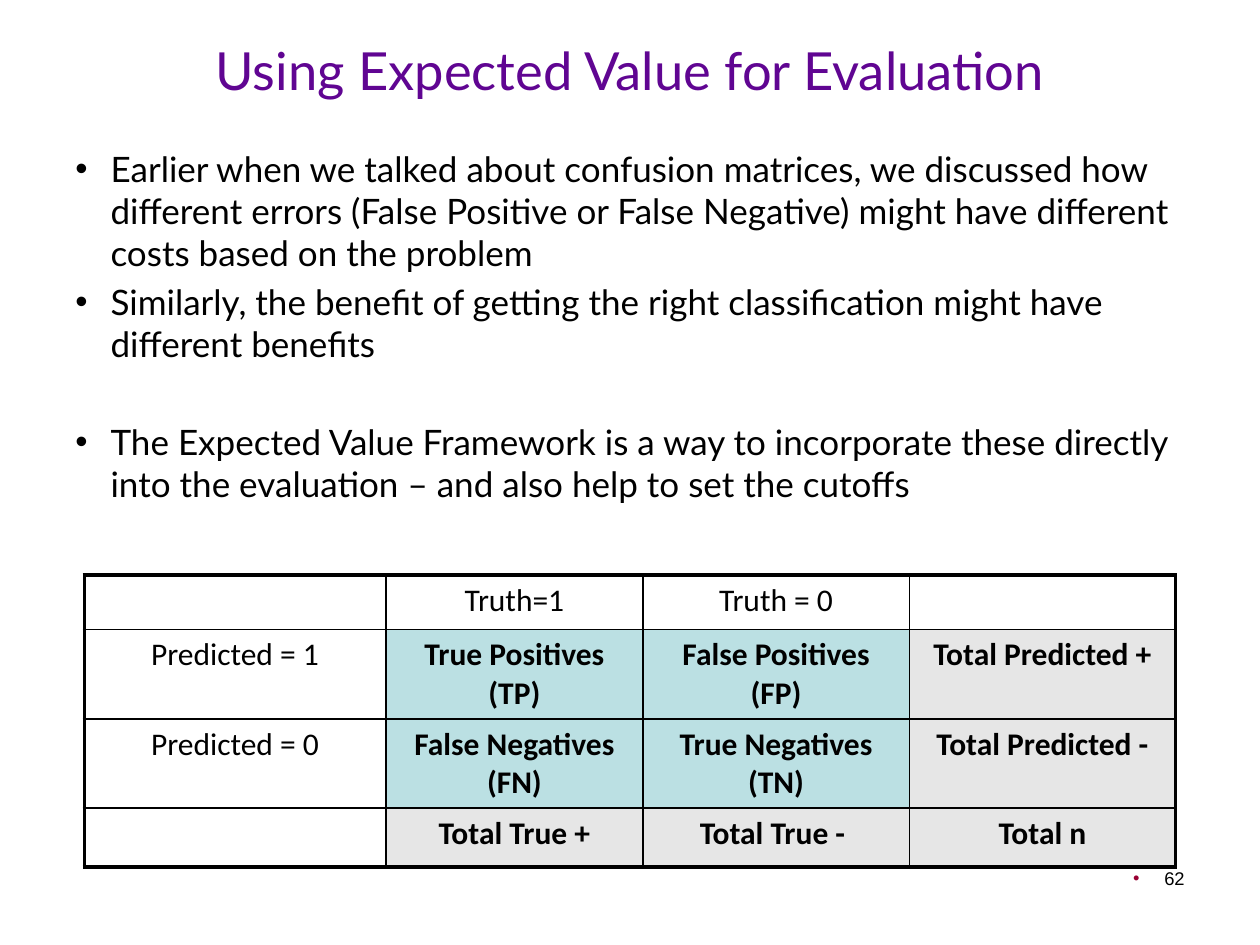
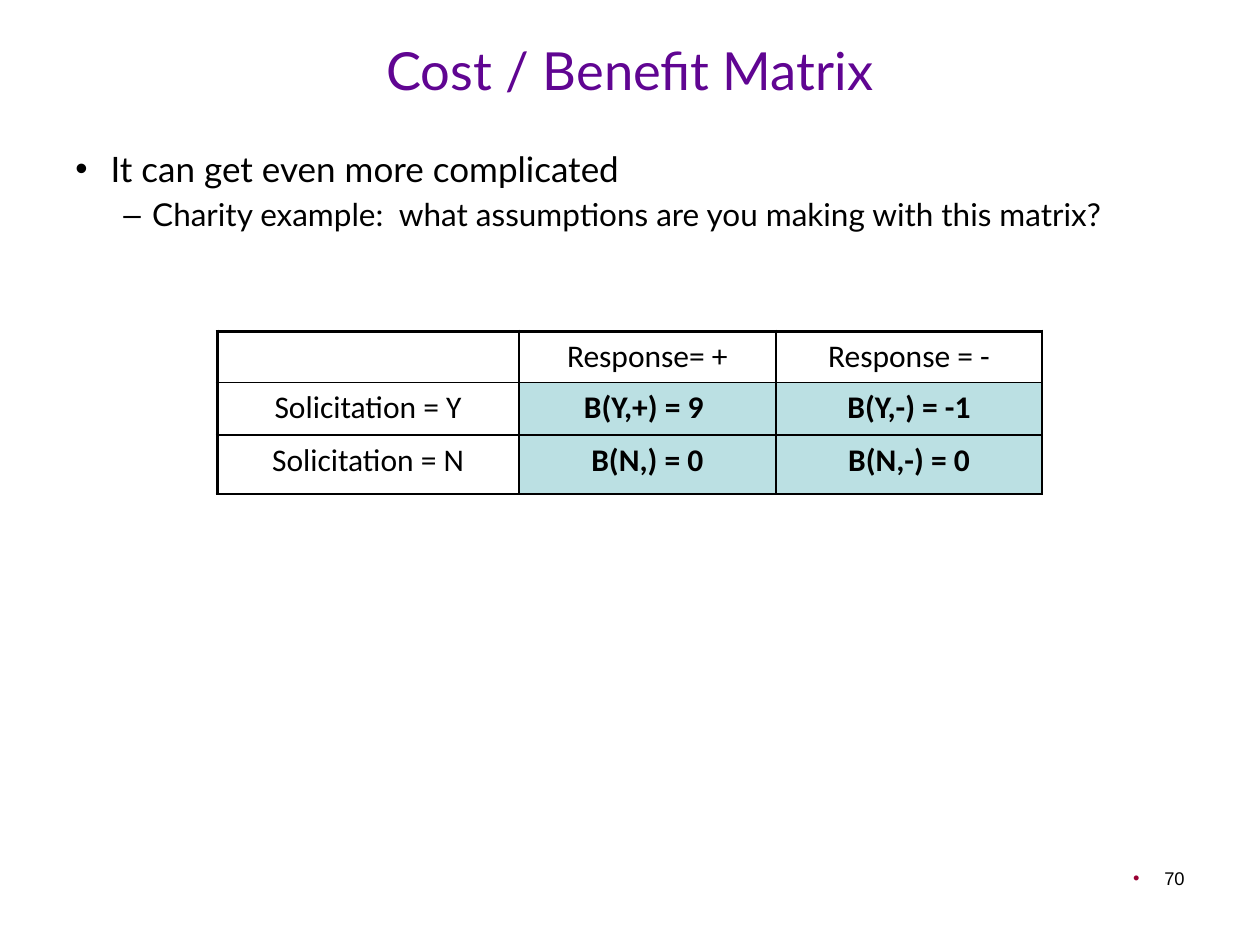
from collections import namedtuple
from dataclasses import dataclass

from lxml import etree
from pptx import Presentation
from pptx.dml.color import RGBColor
from pptx.enum.text import MSO_ANCHOR, PP_ALIGN
from pptx.oxml.ns import qn
from pptx.util import Cm, Pt

CENTER, RIGHT = PP_ALIGN.CENTER, PP_ALIGN.RIGHT
MIDDLE = MSO_ANCHOR.MIDDLE

Box = namedtuple("Box", "left top width height")
Bullet = namedtuple("Bullet", "text level before", defaults=(0, 4))
Level = namedtuple("Level", "mark size margin hang")


@dataclass(frozen=True)
class Theme:
    purple: str = "600592"
    black: str = "000000"
    dot_red: str = "990033"
    teal: str = "BBE0E3"
    grey: str = "E6E6E6"
    text_font: str = "Lato"
    table_font: str = "Calibri"
    number_font: str = "Arial"
    title_size: float = 30
    table_size: float = 18
    number_size: float = 10.5
    thin: float = 1
    thick: float = 2.25


THEME = Theme()
LEVELS = (Level("•", 20, 0.71, 0.71), Level("–", 18, 1.55, 0.58))

TITLE_BOX = Box(1.27, 0.38, 22.86, 2.03)
BODY_BOX = Box(1.27, 2.84, 22.86, 13.36)
NUMBER_BOX = Box(18.21, 17.35, 5.92, 1.32)
LABEL_WIDTH, FIRST_WIDTH, OTHER_WIDTH = 6.08, 5.18, 5.37


def set_font(para, name, size, color, bold=False):
    font = para.font
    font.name, font.size, font.bold = name, Pt(size), bold
    font.color.rgb = RGBColor.from_string(color)


def set_bullet(para, mark, margin, hang, color=None):
    properties = para._p.get_or_add_pPr()
    properties.set("marL", str(Cm(margin)))
    properties.set("indent", str(-Cm(hang)))
    if color:
        holder = etree.SubElement(properties, qn("a:buClr"))
        etree.SubElement(holder, qn("a:srgbClr"), val=color)
    etree.SubElement(properties, qn("a:buFont"), typeface="Arial")
    etree.SubElement(properties, qn("a:buChar"), char=mark)


def add_frame(page, box):
    frame = page.shapes.add_textbox(*map(Cm, box)).text_frame
    frame.word_wrap = True
    return frame


def add_title(page, box, text):
    frame = add_frame(page, box)
    frame.vertical_anchor = MIDDLE
    para = frame.paragraphs[0]
    para.text, para.alignment = text, CENTER
    set_font(para, THEME.text_font, THEME.title_size, THEME.purple)


def add_bullets(page, box, bullets):
    frame = add_frame(page, box)
    for index, bullet in enumerate(bullets):
        para = frame.add_paragraph() if index else frame.paragraphs[0]
        level = LEVELS[bullet.level]
        para.text, para.level = bullet.text, bullet.level
        if index:
            para.space_before = Pt(bullet.before)
        set_bullet(para, level.mark, level.margin, level.hang)
        set_font(para, THEME.text_font, level.size, THEME.black)


def add_page_number(page, box, number):
    para = add_frame(page, box).paragraphs[0]
    para.text, para.alignment = str(number), RIGHT
    set_bullet(para, "•", 0.63, 0.63, THEME.dot_red)
    set_font(para, THEME.number_font, THEME.number_size, THEME.black)


def set_borders(cell, widths):
    """Draw the left, right, top and bottom edges, in that order."""
    properties = cell._tc.get_or_add_tcPr()
    for side, width in zip("LRTB", widths):
        line = etree.SubElement(properties, qn(f"a:ln{side}"), w=str(Pt(width)))
        fill = etree.SubElement(line, qn("a:solidFill"))
        etree.SubElement(fill, qn("a:srgbClr"), val=THEME.black)


def add_matrix(page, left, top, heights, rows, thick_sides):
    """Matrix with plain headings, teal outcomes and grey totals (index 3)."""
    row_count, column_count = len(rows), len(rows[0])
    widths = [LABEL_WIDTH, FIRST_WIDTH] + [OTHER_WIDTH] * (column_count - 2)
    box = Box(left, top, sum(widths), sum(heights))
    table = page.shapes.add_table(row_count, column_count, *map(Cm, box)).table
    table.first_row = table.horz_banding = False
    for column, width in zip(table.columns, widths):
        column.width = Cm(width)
    for row, height in zip(table.rows, heights):
        row.height = Cm(height)

    for r, texts in enumerate(rows):
        for c, text in enumerate(texts):
            cell = table.cell(r, c)
            # Outer edges are thick where the matrix asks for it
            outer = {"L": c == 0, "R": c == column_count - 1,
                     "T": r == 0, "B": r == row_count - 1}
            set_borders(cell, [THEME.thick if at_edge and side in thick_sides
                               else THEME.thin for side, at_edge in outer.items()])
            heading = r == 0 or c == 0
            if heading:
                cell.fill.background()
            else:
                color = THEME.grey if 3 in (r, c) else THEME.teal
                cell.fill.solid()
                cell.fill.fore_color.rgb = RGBColor.from_string(color)
            para = cell.text_frame.paragraphs[0]
            para.text, para.alignment = text, CENTER
            set_font(para, THEME.table_font, THEME.table_size, THEME.black,
                     bold=not heading)


def add_page(deck, title, bullets, number):
    page = deck.slides.add_slide(deck.slide_layouts[6])
    add_title(page, TITLE_BOX, title)
    add_bullets(page, BODY_BOX, bullets)
    add_page_number(page, NUMBER_BOX, number)
    return page


def build_expected_value(deck):
    bullets = [
        Bullet("Earlier when we talked about confusion matrices, we discussed "
               "how different errors (False Positive or False Negative) might "
               "have different costs based on the problem"),
        Bullet("Similarly, the benefit of getting the right classification "
               "might have different benefits"),
        Bullet("The Expected Value Framework is a way to incorporate these "
               "directly into the evaluation – and also help to set the "
               "cutoffs", before=32),
    ]
    page = add_page(deck, "Using Expected Value for Evaluation", bullets, 62)
    # Confusion matrix with totals
    add_matrix(page, 1.7, 11.59, [1.1, 1.8, 1.8, 1.19], [
        ["", "Truth=1", "Truth = 0", ""],
        ["Predicted = 1", "True Positives (TP)", "False Positives (FP)",
         "Total Predicted +"],
        ["Predicted = 0", "False Negatives (FN)", "True Negatives (TN)",
         "Total Predicted -"],
        ["", "Total True +", "Total True - ", "Total n"],
    ], thick_sides="LRTB")


def build_cost_benefit(deck):
    bullets = [
        Bullet("It can get even more complicated"),
        Bullet("Charity example:  what assumptions are you making with this "
               "matrix?", level=1, before=3.6),
    ]
    page = add_page(deck, "Cost / Benefit Matrix", bullets, 70)
    # Benefit of each solicitation and response
    add_matrix(page, 4.38, 6.68, [1.03, 1.06, 1.19], [
        ["", "Response= +", "Response = -"],
        ["Solicitation = Y", "B(Y,+) = 9 ", "B(Y,-) = -1"],
        ["Solicitation = N", "B(N,) = 0", "B(N,-) = 0"],
    ], thick_sides="LT")


def main():
    deck = Presentation()
    deck.slide_width, deck.slide_height = Cm(25.4), Cm(19.05)
    build_expected_value(deck)
    build_cost_benefit(deck)
    deck.save("out.pptx")


if __name__ == "__main__":
    main()
